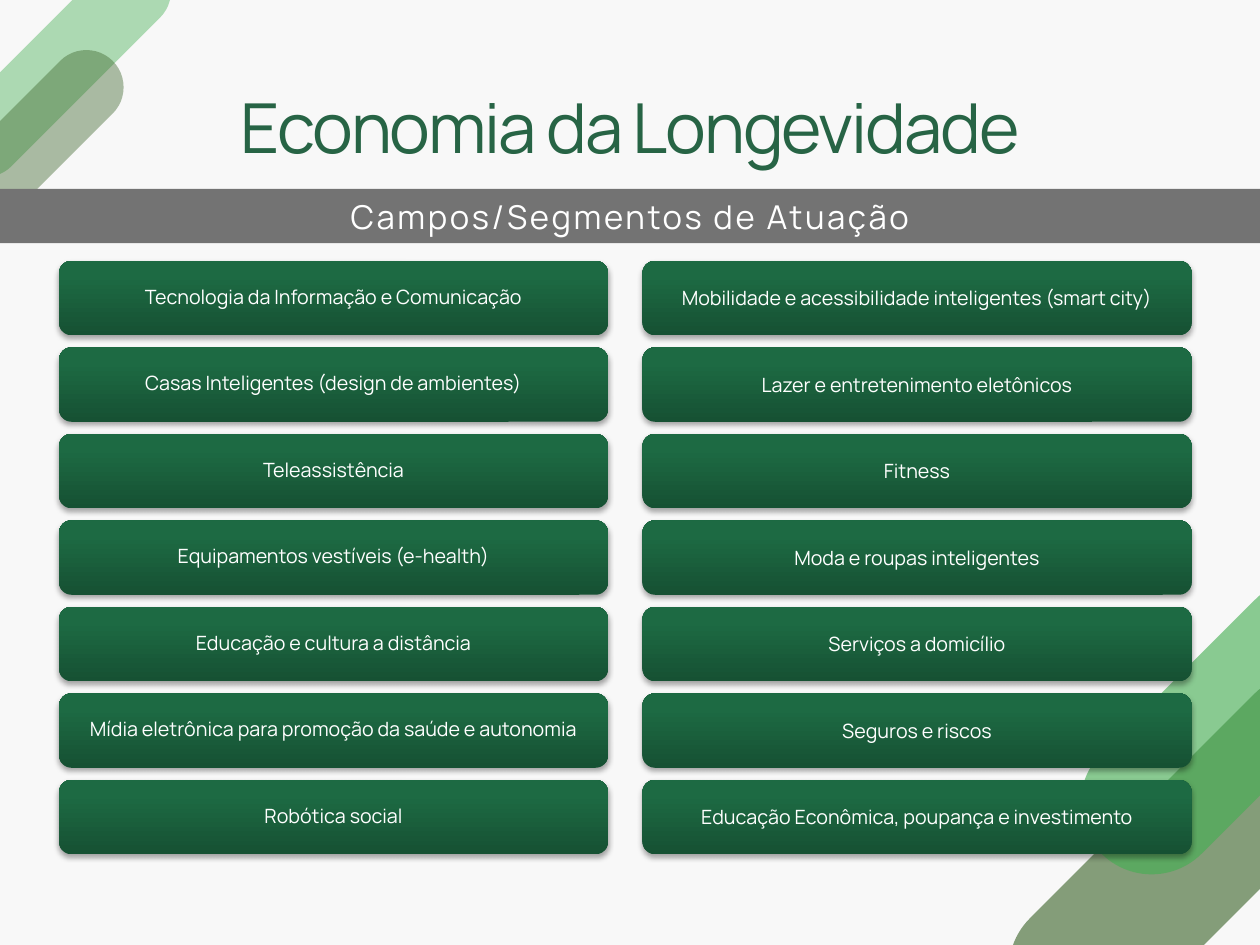
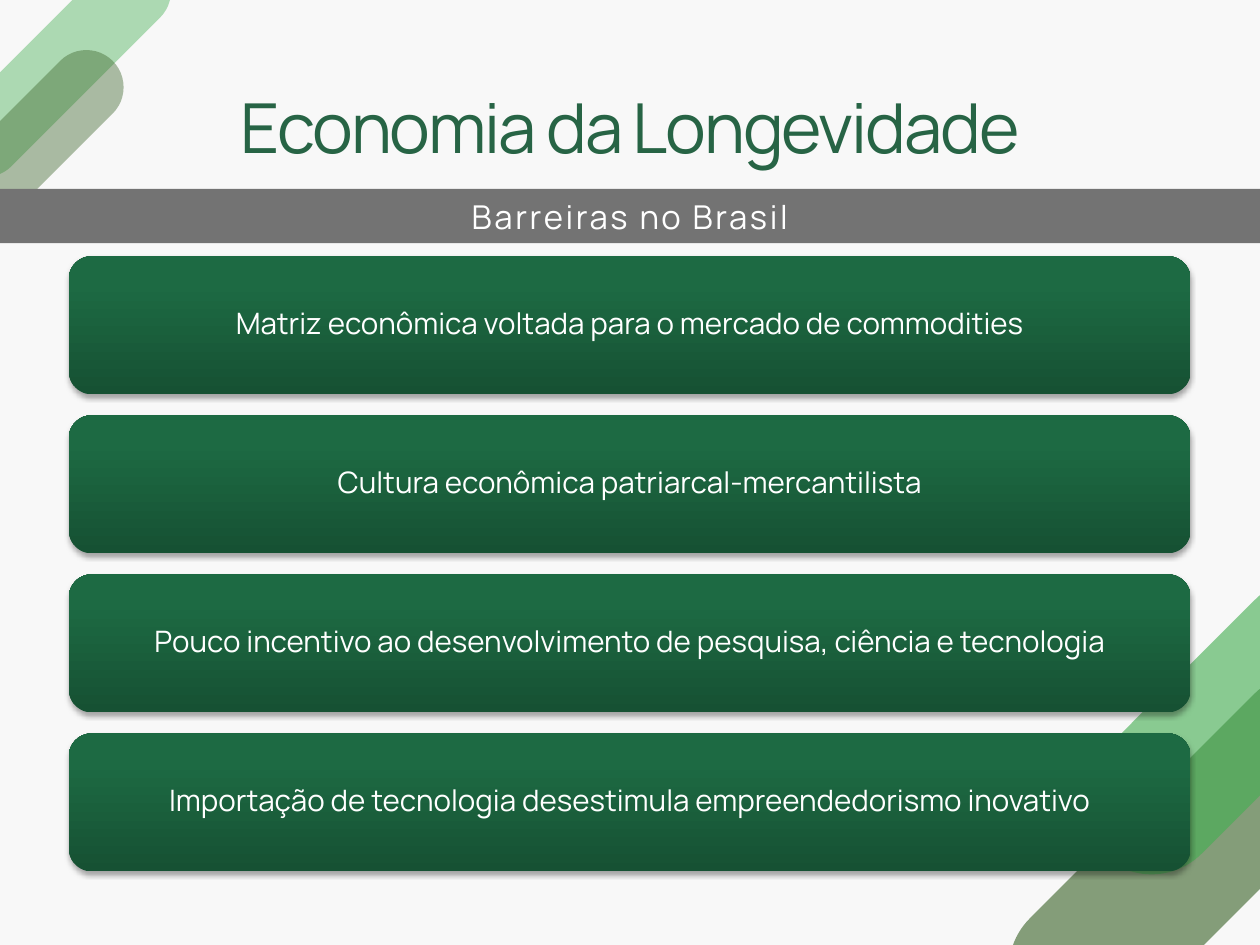
import copy
import lxml.etree
import pptx
import pptx.dml.color
import pptx.enum.shapes
import pptx.enum.text
import pptx.oxml.ns
import pptx.util

Cm = pptx.util.Cm
qn = pptx.oxml.ns.qn
SHAPES = pptx.enum.shapes.MSO_SHAPE

FONT = "Manrope"
COLORS = {
    "background": "F8F8F8",
    "title": "276445",
    "band": "737373",
    "white": "FFFFFF",
    "black": "000000",
    "leaf": "45AF53",
    "moss": "3E662C",
    "card_bottom": "165133",
    "card_middle": "1D6A43",
    "card_top": "1C6C43",
}
CARD_STOPS = [(0, "card_bottom"), (0.8, "card_middle"), (1, "card_top")]
PILLS = [
    (20.7, 16.89, 9.88, 3.05, "moss", 62),
    (22.56, 14.1, 7.72, 3.05, "leaf", 62),
    (-1.78, 0.61, 6.12, 1.6, "leaf", 42),
    (-1.8, 2.26, 4.95, 1.6, "moss", 42),
]

TITLE = "Economia da Longevidade"
LEFT_FIELDS = [
    "Tecnologia da Informação e Comunicação",
    "Casas Inteligentes (design de ambientes)",
    "Teleassistência",
    "Equipamentos vestíveis (e-health)",
    "Educação e cultura a distância",
    "Mídia eletrônica para promoção da saúde e autonomia",
    "Robótica social",
]
RIGHT_FIELDS = [
    "Mobilidade e acessibilidade inteligentes (smart city)",
    "Lazer e entretenimento eletônicos",
    "Fitness",
    "Moda e roupas inteligentes",
    "Serviços a domicílio",
    "Seguros e riscos",
    "Educação Econômica, poupança e investimento",
]
BARRIERS = [
    "Matriz econômica voltada para o mercado de commodities",
    "Cultura econômica patriarcal-mercantilista",
    "Pouco incentivo ao desenvolvimento de pesquisa, ciência e tecnologia",
    "Importação de tecnologia desestimula empreendedorismo inovativo",
]


def rgb(name):
    return pptx.dml.color.RGBColor.from_string(COLORS[name])


def write(box, text, size, color, tracking=0, line_spacing=1.0):
    frame = box.text_frame
    frame.word_wrap = True
    frame.auto_size = pptx.enum.text.MSO_AUTO_SIZE.NONE
    frame.vertical_anchor = pptx.enum.text.MSO_ANCHOR.MIDDLE
    para = frame.paragraphs[0]
    para.alignment = pptx.enum.text.PP_ALIGN.CENTER
    para.line_spacing = line_spacing
    span = para.add_run()
    span.text = text
    span.font.name = FONT
    span.font.size = pptx.util.Pt(size)
    span.font.color.rgb = rgb(color)
    if tracking:
        span.font._element.set("spc", str(tracking))


def add_plain_shape(page, kind, left, top, width, height):
    shape = page.shapes.add_shape(kind, Cm(left), Cm(top), Cm(width), Cm(height))
    shape.line.fill.background()
    shape.shadow.inherit = False
    return shape


def add_pill(page, left, top, width, height, color, opacity):
    pill = add_plain_shape(page, SHAPES.ROUNDED_RECTANGLE, left, top, width, height)
    pill.adjustments[0] = 0.5
    pill.rotation = 315
    pill.fill.solid()
    pill.fill.fore_color.rgb = rgb(color)
    tint = pill.element.spPr.find(".//" + qn("a:srgbClr"))
    lxml.etree.SubElement(tint, qn("a:alpha"), val=str(opacity * 1000))
    return pill


def decorate_layout(layout, page):
    layout.background.fill.solid()
    layout.background.fill.fore_color.rgb = rgb("background")
    for pill in PILLS:
        layout.shapes.element.append(add_pill(page, *pill).element)


def add_heading(page, subtitle):
    title = page.shapes.title
    title.left, title.top = Cm(3.45), Cm(1.47)
    title.width, title.height = Cm(20.19), Cm(2.46)
    write(title, TITLE, 42, "title", tracking=-130)
    band = add_plain_shape(page, SHAPES.RECTANGLE, 0, 4.06, 27.1, 1.17)
    band.fill.solid()
    band.fill.fore_color.rgb = rgb("band")
    write(band, subtitle, 20, "white", tracking=160)


def fill_gradient(card):
    card.fill.gradient()
    card.fill.gradient_angle = 90
    stop_list = card.element.spPr.find(".//" + qn("a:gsLst"))
    stop_list.insert(1, copy.deepcopy(stop_list[0]))
    for stop, (position, color) in zip(card.fill.gradient_stops, CARD_STOPS):
        stop.position = position
        stop.color.rgb = rgb(color)


def add_shadow(card):
    effects = card.element.spPr.find(qn("a:effectLst"))
    shadow = lxml.etree.SubElement(
        effects, qn("a:outerShdw"), blurRad="40000", dist="23000",
        dir="5400000", rotWithShape="0")
    tint = lxml.etree.SubElement(shadow, qn("a:srgbClr"), val=COLORS["black"])
    lxml.etree.SubElement(tint, qn("a:alpha"), val="35000")


def add_card_column(page, texts, left, top, width, height, pitch, size, line_spacing=0.9):
    for row, text in enumerate(texts):
        card = add_plain_shape(page, SHAPES.ROUNDED_RECTANGLE,
                               left, top + row * pitch, width, height)
        fill_gradient(card)
        add_shadow(card)
        write(card, text, size, "white", line_spacing=line_spacing)


def main():
    deck = pptx.Presentation()
    deck.slide_width, deck.slide_height = Cm(27.1), Cm(20.32)
    layout = deck.slide_layouts[5]

    fields = deck.slides.add_slide(layout)
    decorate_layout(layout, fields)
    add_heading(fields, "Campos/Segmentos de Atuação")
    add_card_column(fields, RIGHT_FIELDS, 13.82, 5.61, 11.81, 1.6, 1.86, 12, 1.0)
    add_card_column(fields, LEFT_FIELDS, 1.27, 5.61, 11.81, 1.6, 1.86, 12)

    barriers = deck.slides.add_slide(layout)
    add_heading(barriers, "Barreiras no Brasil")
    add_card_column(barriers, BARRIERS, 1.48, 5.51, 24.13, 2.97, 3.42, 18)

    deck.save("out.pptx")


if __name__ == "__main__":
    main()
